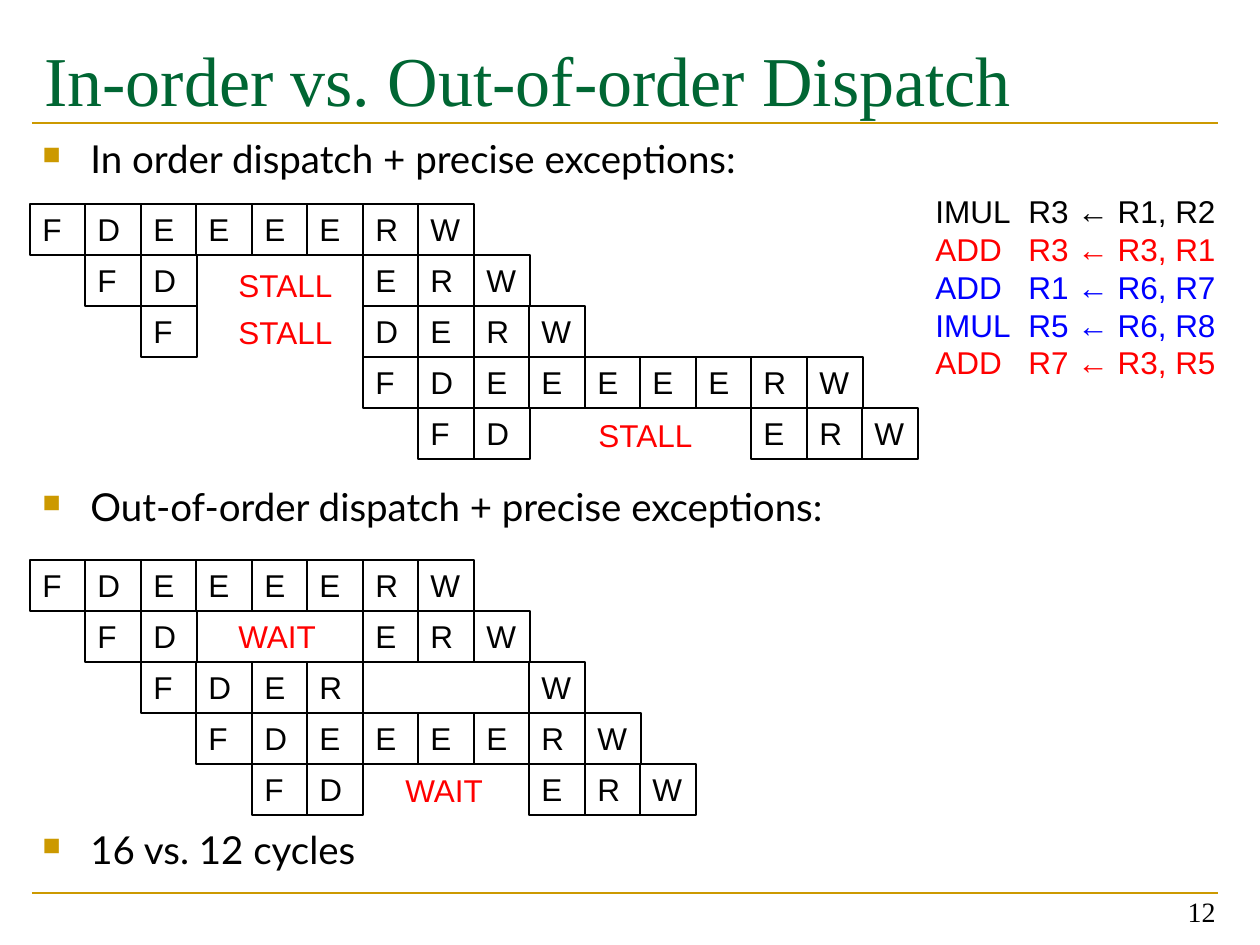
import pptx
import pptx.util
import pptx.dml.color
import pptx.enum.shapes
import pptx.enum.text
import pptx.oxml.ns
from lxml import etree

PX = 914400 // 126
ANCHOR = pptx.enum.text.MSO_ANCHOR
ALIGN = pptx.enum.text.PP_ALIGN
BLACK, RED, BLUE, GREEN, GOLD = "000000", "FF0000", "0000FF", "006633", "CC9900"

deck = pptx.Presentation()
deck.slide_width = 1260 * PX
deck.slide_height = 945 * PX
slide = deck.slides.add_slide(deck.slide_layouts[6])


def rgb(value):
    return pptx.dml.color.RGBColor.from_string(value)


def write(lines, left, top, width, height, size=18, font="Arial", color=BLACK,
          align=ALIGN.LEFT, anchor=ANCHOR.TOP, wrap=True, boxed=False,
          bullet=False, tab=None):
    """Place lines of text, each a string or a (string, colour) pair."""
    area = [length * PX for length in (left, top, width, height)]
    if boxed:
        holder = slide.shapes.add_shape(pptx.enum.shapes.MSO_SHAPE.RECTANGLE, *area)
        holder.shadow.inherit = False
        holder.fill.solid()
        holder.fill.fore_color.rgb = rgb("FFFFFF")
        holder.line.color.rgb = rgb(BLACK)
        holder.line.width = pptx.util.Pt(0.75)
    else:
        holder = slide.shapes.add_textbox(*area)
    frame = holder.text_frame
    frame.word_wrap = wrap
    frame.vertical_anchor = anchor
    for index, line in enumerate([lines] if isinstance(lines, str) else lines):
        text, ink = (line, color) if isinstance(line, str) else line
        paragraph = frame.add_paragraph() if index else frame.paragraphs[0]
        paragraph.alignment = align
        properties = paragraph._p.get_or_add_pPr()

        def add(tag, parent=properties, **attributes):
            return etree.SubElement(parent, pptx.oxml.ns.qn(tag), **attributes)

        if bullet:
            indent = 48 * PX
            properties.set("marL", str(indent))
            properties.set("indent", str(-indent))
            add("a:srgbClr", add("a:buClr"), val=GOLD)
            add("a:buSzPct", val="65000")
            add("a:buChar", char="■")
        if tab:
            add("a:tab", add("a:tabLst"), pos=str(tab * PX), algn="l")
        run = paragraph.add_run()
        run.text = text
        run.font.size = pptx.util.Pt(size)
        run.font.name = font
        run.font.color.rgb = rgb(ink)


for rule_y in (123, 893):
    rule = slide.shapes.add_connector(
        pptx.enum.shapes.MSO_CONNECTOR.STRAIGHT,
        32 * PX, rule_y * PX, 1218 * PX, rule_y * PX)
    rule.line.color.rgb = rgb(GOLD)
    rule.line.width = pptx.util.Pt(1.5)
    etree.SubElement(rule._element.spPr, pptx.oxml.ns.qn("a:effectLst"))

write("In-order vs. Out-of-order Dispatch", 32, 30, 1186, 92,
      size=40, font="Times New Roman", color=GREEN)
write("12", 934, 871, 294, 63, size=16, font="Times New Roman",
      align=ALIGN.RIGHT, anchor=ANCHOR.BOTTOM)

for heading, top in (("In order dispatch + precise exceptions:", 129),
                     ("Out-of-order dispatch + precise exceptions:", 477),
                     ("16 vs. 12 cycles", 820)):
    write(heading, 30, top, 880, 60, size=22, font="Lato", bullet=True)

instructions = [
    ("IMUL\tR3 ← R1, R2", BLACK),
    ("ADD\tR3 ← R3, R1", RED),
    ("ADD\tR1 ← R6, R7", BLUE),
    ("IMUL\tR5 ← R6, R8", BLUE),
    ("ADD\tR7 ← R3, R5", RED),
]
write(instructions, 923, 186, 315, 203, tab=93)

# One character per cycle; a dot is a cycle without a stage box.
pipelines = {
    204: ["FDEEEERW",
          ".FD...ERW",
          "..F...DERW",
          "......FDEEEEERW",
          ".......FD....ERW"],
    560: ["FDEEEERW",
          ".FD...ERW",
          "..FDER...W",
          "...FDEEEERW",
          "....FD...ERW"],
}
for pipeline_top, instruction_rows in pipelines.items():
    for row, stages in enumerate(instruction_rows):
        for cycle, stage in enumerate(stages):
            if stage != ".":
                write(stage, 30 + cycle * 111 // 2, pipeline_top + row * 51,
                      56, 51, boxed=True)

for delay, left, top, width in (("STALL", 226, 260, 120), ("STALL", 226, 307, 120),
                                ("STALL", 586, 410, 120), ("WAIT", 226, 611, 103),
                                ("WAIT", 393, 765, 103)):
    write(delay, left, top, width, 51, color=RED, wrap=False)

deck.save("out.pptx")
